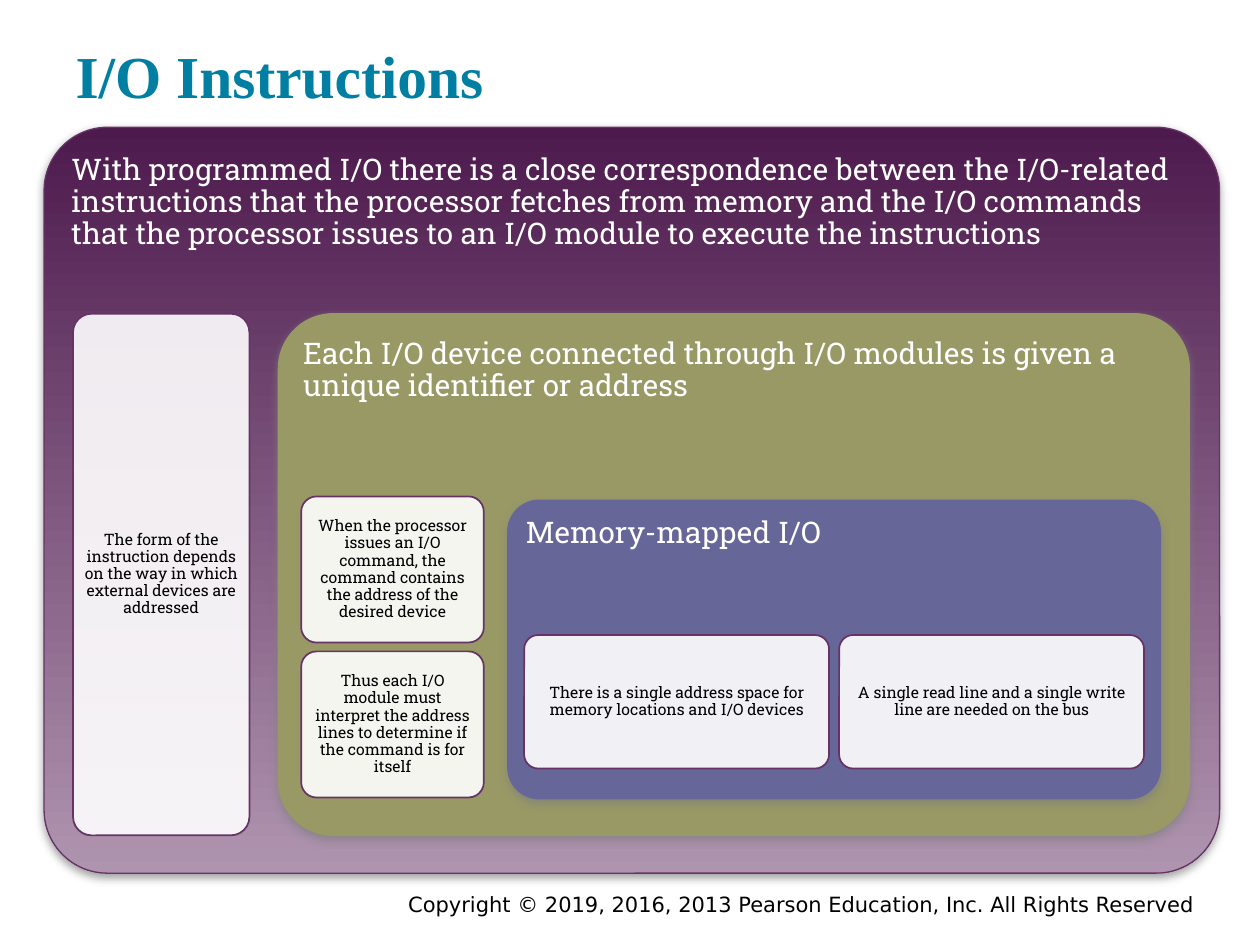
"""Builds the I/O Instructions slide with nested rounded panels."""
from lxml import etree
from pptx import Presentation
from pptx.dml.color import RGBColor
from pptx.enum.shapes import MSO_SHAPE
from pptx.enum.text import MSO_ANCHOR, PP_ALIGN
from pptx.oxml.ns import qn
from pptx.util import Inches, Pt

ROUND = MSO_SHAPE.ROUNDED_RECTANGLE
TOP, MIDDLE, BOTTOM = MSO_ANCHOR.TOP, MSO_ANCHOR.MIDDLE, MSO_ANCHOR.BOTTOM
LEFT, CENTER, RIGHT = PP_ALIGN.LEFT, PP_ALIGN.CENTER, PP_ALIGN.RIGHT
SLAB = "Roboto Slab"
EDGE = "663366"
HEAD = dict(name=SLAB, size=Pt(17), bold=False)
NOTE = dict(name=SLAB, size=Pt(9), bold=False)


def color(target, code):
    """Give a colour format its hex value."""
    target.rgb = RGBColor.from_string(code)


def place(box):
    """Turn a box in inches into lengths."""
    return [Inches(v) for v in box]


def write(shape, text, look, code, align, anchor, pads, lead=None):
    """Fill a shape with one formatted paragraph."""
    frame = shape.text_frame
    side, rise = Inches(pads[0]), Inches(pads[1])
    frame_look = dict(word_wrap=True, vertical_anchor=anchor,
                      margin_left=side, margin_right=side,
                      margin_top=rise, margin_bottom=rise)
    for key, value in frame_look.items():
        setattr(frame, key, value)
    frame.text = text
    para = frame.paragraphs[0]
    para.alignment = align
    if lead:
        para.line_spacing = lead
    for key, value in look.items():
        setattr(para.font, key, value)
    color(para.font.color, code)


def block(slide, box, adj, edge, width):
    """Add an outlined rounded box without a shadow."""
    shape = slide.shapes.add_shape(ROUND, *place(box))
    shape.adjustments[0] = adj
    shape.shadow.inherit = False
    color(shape.line.color, edge)
    shape.line.width = Pt(width)
    return shape


def shade(shape):
    """Add a soft grey shadow below a shape."""
    effects = shape._element.spPr.find(qn("a:effectLst"))
    drop = etree.SubElement(effects, qn("a:outerShdw"), blurRad=str(Pt(5)),
                            dist=str(Pt(2)), dir="5400000", rotWithShape="0")
    tint = etree.SubElement(drop, qn("a:srgbClr"), val="808080")
    etree.SubElement(tint, qn("a:alpha"), val="75000")


def panel(slide, box, text, fills, edge, adj=0.105):
    """Add a shadowed panel with a heading, plain or graded."""
    shape = block(slide, box, adj, edge, 0.75)
    if len(fills) == 1:
        shape.fill.solid()
        color(shape.fill.fore_color, fills[0])
    else:
        shape.fill.gradient()
        shape.fill.gradient_angle = 270
        for stop, code in zip(shape.fill.gradient_stops, fills):
            color(stop.color, code)
    shade(shape)
    write(shape, text, HEAD, "FFFFFF", LEFT, TOP, (0.07, 0.07), 0.9)


def card(slide, box, text):
    """Add a translucent white card with a centred note."""
    shape = block(slide, box, 0.105, EDGE, 1)
    shape.fill.solid()
    color(shape.fill.fore_color, "FFFFFF")
    tint = shape._element.spPr.find(qn("a:solidFill"))[0]
    etree.SubElement(tint, qn("a:alpha"), val="90000")
    write(shape, text, NOTE, "000000", CENTER, MIDDLE, (0.04, 0.04), 0.9)


def mapped(slide, box):
    """Place the memory-mapped panel and its row of cards."""
    x, y, w, h = box
    panel(slide, box, "Memory-mapped I/O", ["666699"], "666699")
    notes = ["There is a single address space for memory locations and I/O devices",
             "A single read line and a single write line are needed on the bus"]
    pad, gap = 0.13, 0.08
    wide = (w - 2 * pad - gap) / len(notes)
    for i, note in enumerate(notes):
        card(slide, (x + pad + i * (wide + gap), y + 1.07, wide, 1.06), note)


def device(slide, box):
    """Place the device panel, its column of cards and the inner panel."""
    x, y, w, h = box
    panel(slide, box, "Each I/O device connected through I/O modules is given "
          "a unique identifier or address", ["999966"], "999966")
    notes = ["When the processor issues an I/O command, the command contains "
             "the address of the desired device",
             "Thus each I/O module must interpret the address lines to "
             "determine if the command is for itself"]
    tall, gap = 1.16, 0.07
    for i, note in enumerate(notes):
        card(slide, (x + 0.18, y + 1.45 + i * (tall + gap), 1.45, tall), note)
    mapped(slide, (x + 1.82, y + 1.48, w - 2.05, h - 1.77))


def diagram(slide, box):
    """Place the outer panel, the tall card and the device panel."""
    x, y, w, h = box
    panel(slide, box, "With programmed I/O there is a close correspondence "
          "between the I/O-related instructions that the processor fetches "
          "from memory and the I/O commands that the processor issues to an "
          "I/O module to execute the instructions",
          ["4D1A4D", "AF94AF"], EDGE, 0.085)
    top, tall = y + 1.48, h - 1.78
    card(slide, (x + 0.23, top, 1.4, tall), "The form of the instruction "
         "depends on the way in which external devices are addressed")
    device(slide, (x + 1.86, top, w - 2.1, tall))


def heading(slide, box):
    """Move and format the title placeholder."""
    title = slide.shapes.title
    title.left, title.top, title.width, title.height = place(box)
    look = dict(name="Times New Roman", size=Pt(34), bold=True)
    write(title, "I/O Instructions", look, "007FA3", LEFT, BOTTOM, (0.1, 0.1))


def footer(slide, box):
    """Add the copyright line."""
    note = slide.shapes.add_textbox(*place(box))
    look = dict(name="DejaVu Sans", size=Pt(12))
    write(note, "Copyright © 2019, 2016, 2013 Pearson Education, Inc. "
          "All Rights Reserved", look, "000000", RIGHT, TOP, (0.1, 0.05))


def main():
    """Build and save the slide."""
    deck = Presentation()
    deck.slide_width, deck.slide_height = Inches(10), Inches(7.5)
    slide = deck.slides.add_slide(deck.slide_layouts[5])
    footer(slide, (1.75, 7.03, 7.83, 0.22))
    heading(slide, (0.5, 0.36, 9, 0.62))
    diagram(slide, (0.35, 1.01, 9.33, 5.92))
    deck.save("out.pptx")


if __name__ == "__main__":
    main()
